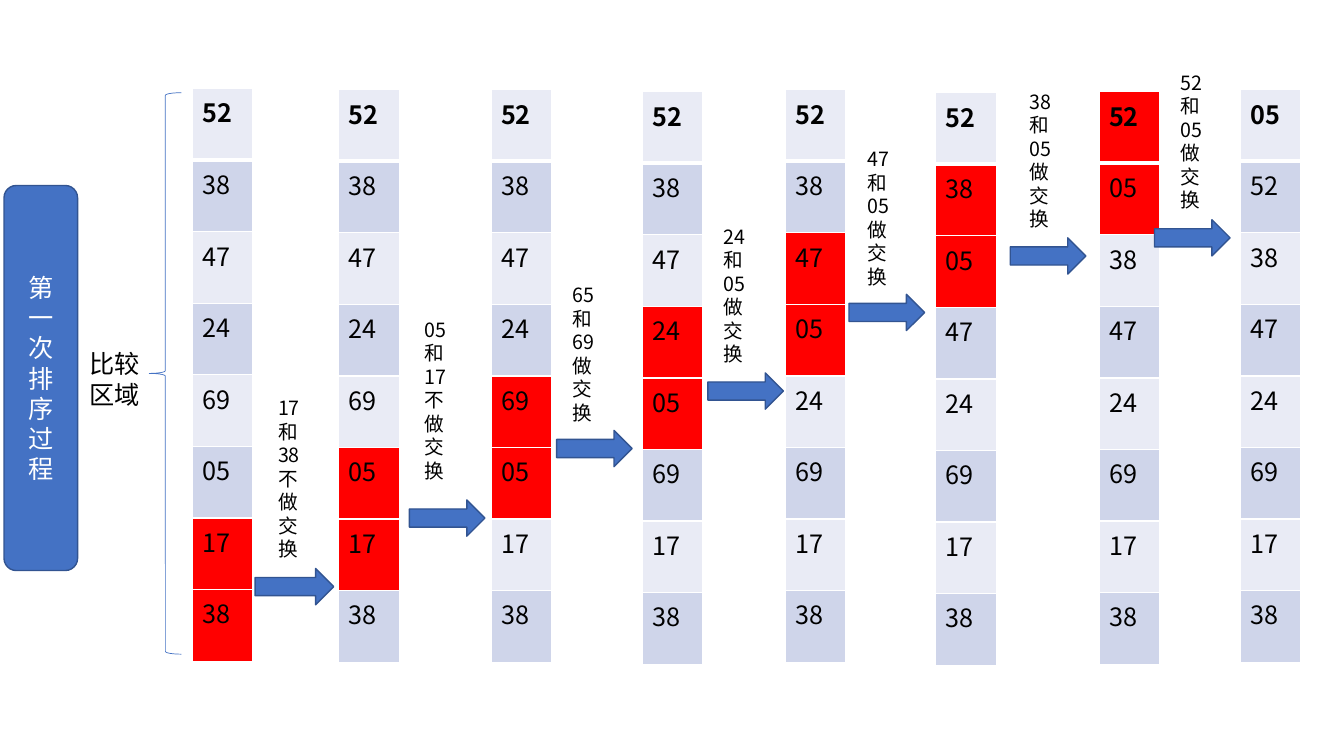
from dataclasses import dataclass

from lxml.etree import SubElement
from pptx import Presentation
from pptx.dml.color import RGBColor as Color
from pptx.enum.shapes import MSO_SHAPE as Shape
from pptx.enum.text import MSO_ANCHOR as Anchor, MSO_AUTO_SIZE as AutoSize, PP_ALIGN as Align
from pptx.oxml.ns import qn
from pptx.util import Inches, Pt


@dataclass(frozen=True)
class Theme:
    """Hold the colours, font and type sizes of the slide."""

    font: str = "Noto Sans CJK SC"
    body: int = 18
    note: int = 14
    black: str = "000000"
    white: str = "FFFFFF"
    blue: str = "4472C4"
    outline: str = "325491"
    compared: str = "FF0000"
    bands: tuple = ("E9EBF5", "CFD5EA")


THEME = Theme()
NUMBERS = ["52", "38", "47", "24", "69", "05", "17", "38"]
COLUMN_WIDTH, ROW_HEIGHT = 0.6, 0.71
COLUMNS = [(1.91, 0.88), (3.36, 0.89), (4.87, 0.89), (6.37, 0.91),
           (7.79, 0.89), (9.28, 0.92), (10.9, 0.91), (12.3, 0.89)]
STEPS = [
    ("17和38不做交换", (2.66, 3.88, 0.42, 2.22), (2.53, 5.64, 0.78, 0.36)),
    ("05和17不做交换", (4.11, 3.1, 0.42, 2.22), (4.06, 4.96, 0.75, 0.36)),
    ("65和69做交换", (5.58, 2.76, 0.42, 1.99), (5.52, 4.27, 0.75, 0.36)),
    ("24和05做交换", (7.08, 2.18, 0.42, 1.99), (7.02, 3.7, 0.75, 0.36)),
    ("47和05做交换", (8.51, 1.41, 0.42, 1.99), (8.42, 2.92, 0.75, 0.36)),
    ("38和05做交换", (10.11, 0.84, 0.42, 1.99), (10.02, 2.36, 0.75, 0.36)),
    ("52和05做交换", (11.61, 0.65, 0.42, 1.99), (11.45, 2.18, 0.75, 0.36)),
]


def inches(box):
    """Convert a box of numbers to lengths."""
    return [Inches(value) for value in box]


def write(text_frame, text, size, color, bold=False):
    """Write one paragraph and return it."""
    paragraph = text_frame.paragraphs[0]
    paragraph.text = text
    font = paragraph.font
    font.name, font.size, font.bold = THEME.font, Pt(size), bold
    font.color.rgb = Color.from_string(color)
    defaults = paragraph._p.pPr.find(qn("a:defRPr"))
    SubElement(defaults, qn("a:ea"), typeface=THEME.font)
    return paragraph


def add_block(slide, kind, box, fill=None, line=THEME.outline, width=1):
    """Add a preset shape with a flat fill and a thin outline."""
    shape = slide.shapes.add_shape(kind, *inches(box))
    shape.shadow.inherit = False
    if fill:
        shape.fill.solid()
        shape.fill.fore_color.rgb = Color.from_string(fill)
    else:
        shape.fill.background()
    shape.line.color.rgb = Color.from_string(line)
    shape.line.width = Pt(width)
    return shape


def add_label(slide, box, text, size):
    """Add a wrapping text box."""
    text_frame = slide.shapes.add_textbox(*inches(box)).text_frame
    text_frame.word_wrap = True
    text_frame.auto_size = AutoSize.SHAPE_TO_FIT_TEXT
    write(text_frame, text, size, THEME.black)


def set_borders(cell, bottom):
    """Draw white borders around a cell."""
    properties = cell._tc.get_or_add_tcPr()
    for side, points in (("L", 1), ("R", 1), ("T", 1), ("B", bottom)):
        line = SubElement(properties, qn(f"a:ln{side}"), w=str(Pt(points)))
        SubElement(SubElement(line, qn("a:solidFill")), qn("a:srgbClr"), val=THEME.white)


def add_column(slide, box, numbers, compared):
    """Add one state of the list, with the compared rows in red."""
    table = slide.shapes.add_table(len(numbers), 1, *inches(box)).table
    for index, number in enumerate(numbers):
        table.rows[index].height = Inches(box[3] / len(numbers))
        cell = table.cell(index, 0)
        set_borders(cell, 1 if index else 3)
        fill = THEME.compared if index in compared else THEME.bands[index % 2]
        cell.fill.solid()
        cell.fill.fore_color.rgb = Color.from_string(fill)
        write(cell.text_frame, number, THEME.body, THEME.black, bold=index == 0)


def add_pass(slide, places, numbers):
    """Add every state of one bubble pass that runs from the bottom up."""
    numbers = list(numbers)
    for (left, top), upper in zip(places, range(len(numbers) - 2, -2, -1)):
        compared = (upper, upper + 1) if upper >= 0 else ()
        box = (left, top, COLUMN_WIDTH, ROW_HEIGHT * len(numbers))
        add_column(slide, box, numbers, compared)
        if compared:
            numbers[upper:upper + 2] = sorted(numbers[upper:upper + 2])


def add_step(slide, text, label_box, arrow_box):
    """Add the arrow to the next state and its explanation."""
    add_block(slide, Shape.RIGHT_ARROW, arrow_box, THEME.blue)
    add_label(slide, label_box, text, THEME.note)


def add_title(slide, box):
    """Add the upright title panel."""
    panel = add_block(slide, Shape.ROUNDED_RECTANGLE, box, THEME.blue)
    panel.text_frame.word_wrap = True
    panel.text_frame.vertical_anchor = Anchor.MIDDLE
    paragraph = write(panel.text_frame, "第一次排序过程", THEME.body, THEME.white)
    paragraph.alignment = Align.CENTER


def add_range(slide, brace_box, label_box):
    """Add the brace that marks the compared range, with its label."""
    add_block(slide, Shape.LEFT_BRACE, brace_box, line=THEME.blue, width=0.5)
    add_label(slide, label_box, "比较区域", THEME.body)


def main():
    """Build and save the presentation."""
    presentation = Presentation()
    presentation.slide_width, presentation.slide_height = Inches(13.33), Inches(7.5)
    slide = presentation.slides.add_slide(presentation.slide_layouts[6])
    add_pass(slide, COLUMNS, NUMBERS)
    for step in STEPS:
        add_step(slide, *step)
    add_title(slide, (0.04, 1.84, 0.73, 3.82))
    add_range(slide, (1.48, 0.92, 0.32, 5.57), (0.79, 3.41, 0.84, 0.71))
    presentation.save("out.pptx")


main()
